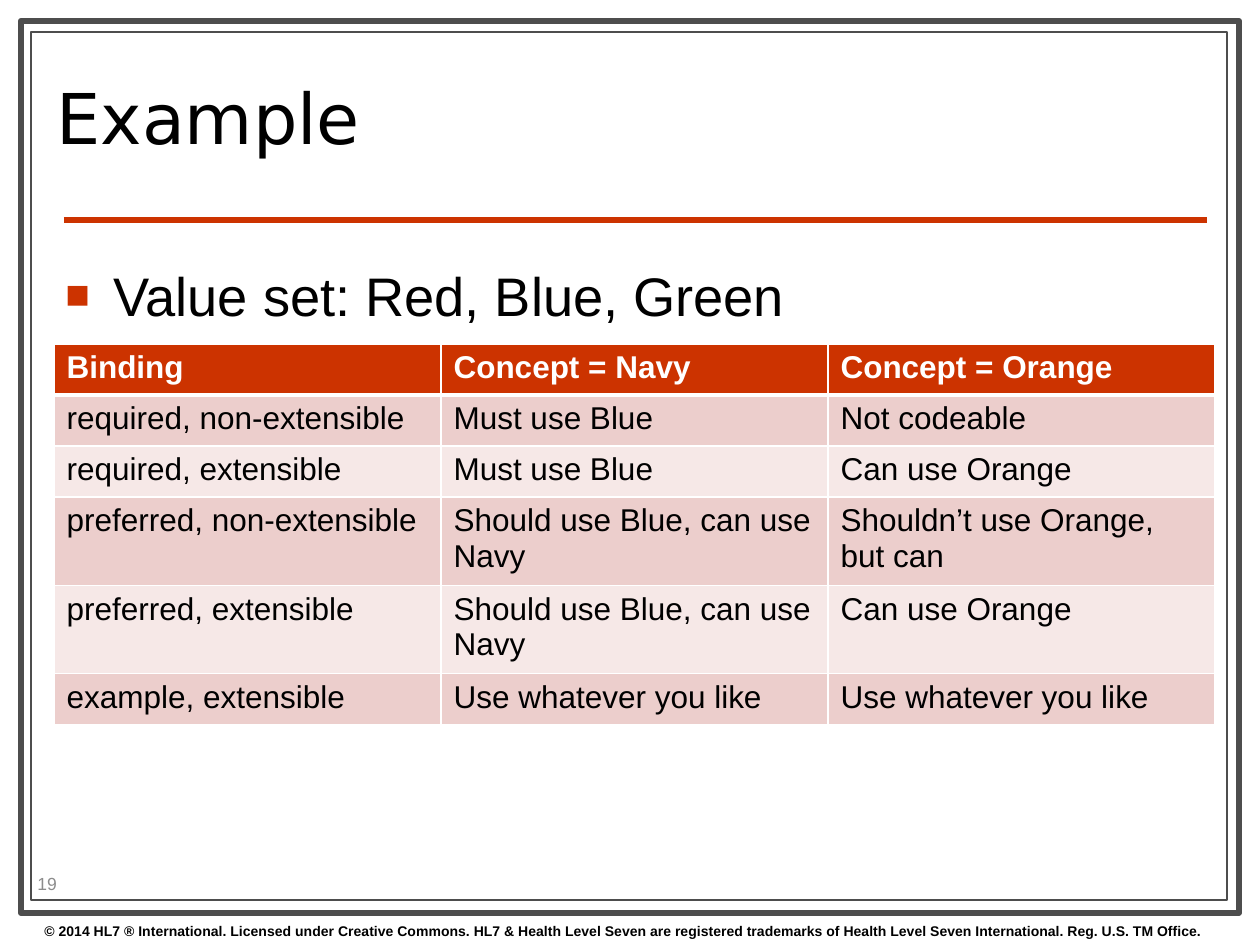
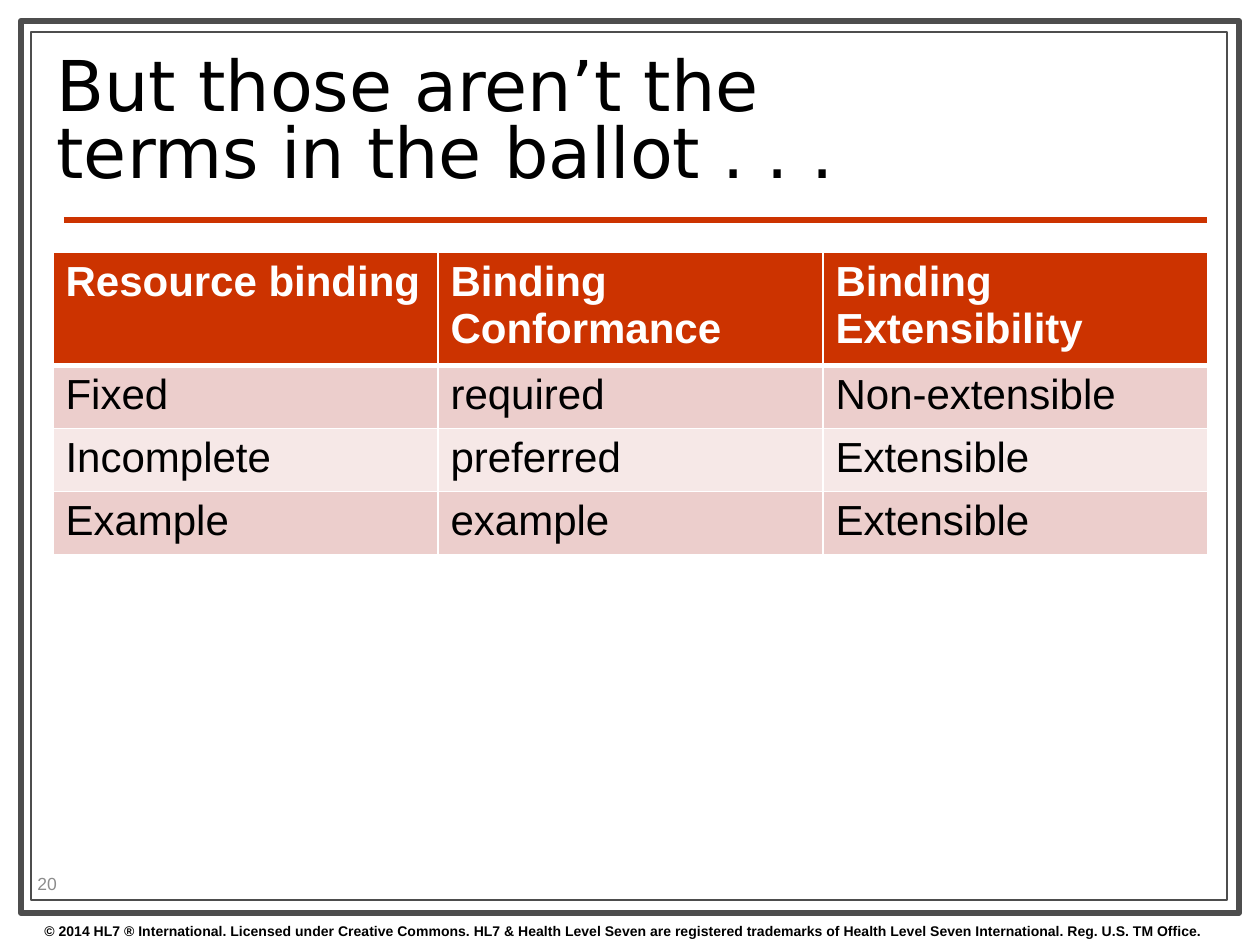
import pptx
import pptx.util
import pptx.dml.color
import pptx.enum.shapes
import pptx.enum.text
import pptx.oxml.ns
from dataclasses import dataclass
from lxml import etree

PX = 914400 / 126  # EMU in one px
TITLE_ONLY = 5
FOOTER = ("© 2014 HL7 ® International. Licensed under Creative Commons. "
          "HL7 & Health Level Seven are registered trademarks of "
          "Health Level Seven International. Reg. U.S. TM Office.")


@dataclass(frozen=True)
class Theme:
    accent: str = "CC3300"
    frame: str = "4D4D4D"
    paper: str = "FFFFFF"
    ink: str = "000000"
    number: str = "8C8C8C"
    bands: tuple = ("ECCECC", "F6E8E7")
    title_font: str = "DejaVu Sans"
    body_font: str = "Arial"
    title_size: int = 40
    bullet_size: int = 31
    number_size: int = 10
    footer_size: int = 8


THEME = Theme()


def px(n):
    return pptx.util.Emu(round(n * PX))


def rgb(value):
    return pptx.dml.color.RGBColor.from_string(value)


def sub(parent, tag, **attrs):
    return etree.SubElement(parent, pptx.oxml.ns.qn(tag), attrs)


def style(p, size, color, bold=False, font=THEME.body_font):
    p.font.name = font
    p.font.size = pptx.util.Pt(size)
    p.font.bold = bold
    p.font.color.rgb = rgb(color)


def add_text(slide, box, text):
    tf = slide.shapes.add_textbox(*map(px, box)).text_frame
    tf.word_wrap = True
    p = tf.paragraphs[0]
    p.text = text
    return tf, p


def add_frame(slide, box):
    """Double border: a thick outer and a thin inner rectangle."""
    left, top, width, height = box
    inner = (left + 10, top + 11, width - 22, height - 24)
    for rect, weight in ((box, 3.5), (inner, 0.75)):
        sp = slide.shapes.add_shape(
            pptx.enum.shapes.MSO_SHAPE.RECTANGLE, *map(px, rect))
        sp.shadow.inherit = False
        sp.fill.solid()
        sp.fill.fore_color.rgb = rgb(THEME.paper)
        sp.line.color.rgb = rgb(THEME.frame)
        sp.line.width = pptx.util.Pt(weight)


def add_rule(slide, left, right, y):
    line = slide.shapes.add_connector(
        pptx.enum.shapes.MSO_CONNECTOR.STRAIGHT, px(left), px(y), px(right), px(y))
    line.line.color.rgb = rgb(THEME.accent)
    line.line.width = pptx.util.Pt(3)
    sub(line._element.spPr, "a:effectLst")


def set_title(slide, box, text):
    title = slide.shapes.title
    title.left, title.top, title.width, title.height = map(px, box)
    slide.shapes._spTree.append(title._element)  # bring in front of the frame
    tf = title.text_frame
    tf.word_wrap = True
    tf.auto_size = pptx.enum.text.MSO_AUTO_SIZE.NONE
    tf.vertical_anchor = pptx.enum.text.MSO_ANCHOR.MIDDLE
    p = tf.paragraphs[0]
    p.text = text
    p.alignment = pptx.enum.text.PP_ALIGN.LEFT
    p.line_spacing = 0.8
    style(p, THEME.title_size, THEME.ink, font=THEME.title_font)


def add_footer(slide, box):
    tf, p = add_text(slide, box, FOOTER)
    tf.auto_size = pptx.enum.text.MSO_AUTO_SIZE.SHAPE_TO_FIT_TEXT
    style(p, THEME.footer_size, THEME.ink, bold=True)


def add_number(slide, box, number):
    tf, p = add_text(slide, box, str(number))
    tf.vertical_anchor = pptx.enum.text.MSO_ANCHOR.MIDDLE
    style(p, THEME.number_size, THEME.number)


def add_bullet(slide, box, text):
    p = add_text(slide, box, text)[1]
    pPr = p._p.get_or_add_pPr()
    indent = px(48)
    pPr.set("marL", str(indent))
    pPr.set("indent", str(-indent))
    sub(sub(pPr, "a:buClr"), "a:srgbClr", val=THEME.accent)
    sub(pPr, "a:buSzPct", val="75000")
    sub(pPr, "a:buFont", typeface=THEME.body_font)
    sub(pPr, "a:buChar", char="■")
    style(p, THEME.bullet_size, THEME.ink)


def set_borders(cell, top, bottom):
    tcPr = cell._tc.get_or_add_tcPr()
    for side, weight in (("L", 1), ("R", 1), ("T", top), ("B", bottom)):
        ln = sub(tcPr, f"a:ln{side}", w=str(pptx.util.Pt(weight)))
        sub(sub(ln, "a:solidFill"), "a:srgbClr", val=THEME.paper)


def add_banded_table(slide, box, rows, size):
    """Header row plus alternating bands; box is left, top, column width, row height."""
    left, top, col_width, row_height = box
    cols = len(rows[0])
    table = slide.shapes.add_table(
        len(rows), cols, px(left), px(top),
        px(col_width * cols), px(row_height * len(rows))).table
    for col in table.columns:
        col.width = px(col_width)
    for i, row in enumerate(rows):
        header = i == 0
        table.rows[i].height = px(row_height)
        for j, text in enumerate(row):
            cell = table.cell(i, j)
            set_borders(cell, top=3 if i == 1 else 1, bottom=3 if header else 1)
            cell.fill.solid()
            cell.fill.fore_color.rgb = rgb(
                THEME.accent if header else THEME.bands[(i - 1) % 2])
            cell.text = text
            style(cell.text_frame.paragraphs[0], size,
                  THEME.paper if header else THEME.ink, bold=header)


def add_base_slide(prs, title, number):
    slide = prs.slides.add_slide(prs.slide_layouts[TITLE_ONLY])
    add_frame(slide, (21, 21, 1218, 892))
    add_rule(slide, 64, 1207, 220)
    add_footer(slide, (32, 916, 1260, 29))
    set_title(slide, (44, 45, 903, 159), title)
    add_number(slide, (25, 868, 100, 30), number)
    return slide


def example_slide(prs):
    slide = add_base_slide(prs, "Example", 19)
    add_bullet(slide, (53, 256, 1155, 617), "Value set: Red, Blue, Green")
    add_banded_table(slide, (54, 344, 387, 51), [
        ("Binding", "Concept = Navy", "Concept = Orange"),
        ("required, non-extensible", "Must use Blue", "Not codeable"),
        ("required, extensible", "Must use Blue", "Can use Orange"),
        ("preferred, non-extensible", "Should use Blue, can use Navy",
         "Shouldn’t use Orange, but can"),
        ("preferred, extensible", "Should use Blue, can use Navy", "Can use Orange"),
        ("example, extensible", "Use whatever you like", "Use whatever you like"),
    ], size=18)


def ballot_terms_slide(prs):
    slide = add_base_slide(prs, "But those aren’t the terms in the ballot . . .", 20)
    add_banded_table(slide, (53, 252, 385, 51), [
        ("Resource binding", "Binding Conformance", "Binding Extensibility"),
        ("Fixed", "required", "Non-extensible"),
        ("Incomplete", "preferred", "Extensible"),
        ("Example", "example", "Extensible"),
    ], size=24)


def main():
    prs = pptx.Presentation()
    prs.slide_width, prs.slide_height = px(1260), px(945)
    example_slide(prs)
    ballot_terms_slide(prs)
    prs.save("out.pptx")


if __name__ == "__main__":
    main()
